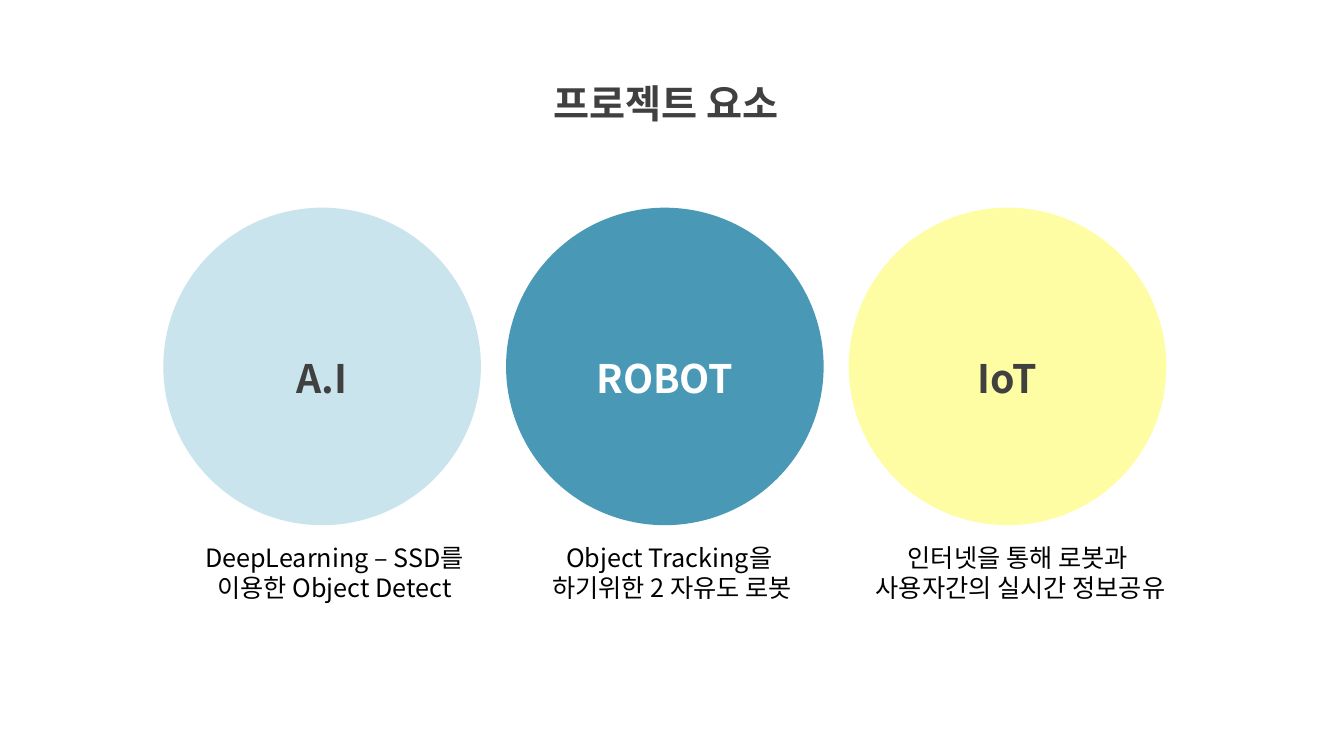
"""Build the project elements slide: three circles with captions."""
import dataclasses

import pptx
import pptx.dml.color
import pptx.enum.shapes
import pptx.enum.text
import pptx.oxml
import pptx.oxml.ns
import pptx.slide
import pptx.text.text
import pptx.util

RGBColor = pptx.dml.color.RGBColor
CHARCOAL = RGBColor(0x40, 0x40, 0x40)
BLACK = RGBColor(0x00, 0x00, 0x00)
WHITE = RGBColor(0xFF, 0xFF, 0xFF)
PALE_BLUE = RGBColor(0xC9, 0xE4, 0xED)
TEAL = RGBColor(0x49, 0x99, 0xB6)
YELLOW = RGBColor(0xFE, 0xFD, 0xA3)

FONT = "Noto Sans CJK KR"
SLIDE_WIDTH = pptx.util.Inches(13.33)
SLIDE_HEIGHT = pptx.util.Inches(7.5)
CIRCLE_LEFT, CIRCLE_PITCH, CIRCLE_TOP = 12.15, 25.5, 27.47
CIRCLE_WIDTH, CIRCLE_HEIGHT = 23.63, 42
CAPTION_LEFT, CAPTION_PITCH = 13.28, 24.91
CAPTION_TOP, CAPTION_HEIGHT = 71.07, 9.47


@dataclasses.dataclass(frozen=True)
class Box:
    """Position and size in percent of the slide."""
    left: float
    top: float
    width: float
    height: float

    def lengths(self) -> tuple[int, int, int, int]:
        """Return left, top, width and height in EMU."""
        return (round(SLIDE_WIDTH * self.left / 100), round(SLIDE_HEIGHT * self.top / 100),
                round(SLIDE_WIDTH * self.width / 100), round(SLIDE_HEIGHT * self.height / 100))


@dataclasses.dataclass(frozen=True)
class Style:
    """Look of a text."""
    size: int
    color: RGBColor
    bold: bool = False
    line_spacing: float = 1.0


@dataclasses.dataclass(frozen=True)
class Element:
    """One project element: its circle and its caption."""
    name: str
    fill: RGBColor
    color: RGBColor
    caption: tuple[str, ...]
    caption_width: float = CIRCLE_WIDTH


ELEMENTS = (
    Element("A.I", PALE_BLUE, CHARCOAL, ("DeepLearning – SSD를 ", "이용한 Object Detect ")),
    Element("ROBOT", TEAL, WHITE, ("Object Tracking을 ", "하기위한 2 자유도 로봇")),
    Element("IoT", YELLOW, CHARCOAL, ("인터넷을 통해 로봇과 ", "사용자간의 실시간 정보공유"), 25.66),
)


def write_lines(frame: pptx.text.text.TextFrame, lines: tuple[str, ...], style: Style) -> None:
    """Write centred lines, one paragraph each."""
    frame.word_wrap = True
    for index, line in enumerate(lines):
        paragraph = frame.add_paragraph() if index else frame.paragraphs[0]
        paragraph.alignment = pptx.enum.text.PP_ALIGN.CENTER
        paragraph.line_spacing = style.line_spacing
        run = paragraph.add_run()
        run.text = line
        run.font.size = pptx.util.Pt(style.size)
        run.font.bold = style.bold
        run.font.color.rgb = style.color
        run.font.name = FONT
        east_asian = pptx.oxml.parse_xml(
            f'<a:ea {pptx.oxml.ns.nsdecls("a")} typeface="{FONT}"/>')
        run.font._element.find(pptx.oxml.ns.qn("a:latin")).addnext(east_asian)


def add_text(slide: pptx.slide.Slide, box: Box, lines: tuple[str, ...], style: Style) -> None:
    """Add a text box that grows with its text."""
    frame = slide.shapes.add_textbox(*box.lengths()).text_frame
    write_lines(frame, lines, style)
    frame.auto_size = pptx.enum.text.MSO_AUTO_SIZE.SHAPE_TO_FIT_TEXT


def add_element(slide: pptx.slide.Slide, column: int, element: Element) -> None:
    """Add the circle and caption of one column."""
    circle_box = Box(CIRCLE_LEFT + column * CIRCLE_PITCH, CIRCLE_TOP,
                     CIRCLE_WIDTH, CIRCLE_HEIGHT)
    circle = slide.shapes.add_shape(pptx.enum.shapes.MSO_SHAPE.OVAL, *circle_box.lengths())
    circle.shadow.inherit = False
    circle.fill.solid()
    circle.fill.fore_color.rgb = element.fill
    circle.line.fill.background()
    circle.text_frame.vertical_anchor = pptx.enum.text.MSO_ANCHOR.MIDDLE
    write_lines(circle.text_frame, (element.name,), Style(28, element.color, True, 1.5))
    caption_box = Box(CAPTION_LEFT + column * CAPTION_PITCH, CAPTION_TOP,
                      element.caption_width, CAPTION_HEIGHT)
    add_text(slide, caption_box, element.caption, Style(18, BLACK))


def main() -> None:
    """Build and save the presentation."""
    presentation = pptx.Presentation()
    presentation.slide_width = SLIDE_WIDTH
    presentation.slide_height = SLIDE_HEIGHT
    slide = presentation.slides.add_slide(presentation.slide_layouts[6])
    add_text(slide, Box(32.18, 6.67, 34.73, 9.6), ("프로젝트 요소",),
             Style(28, CHARCOAL, True, 1.5))
    for column, element in enumerate(ELEMENTS):
        add_element(slide, column, element)
    presentation.save("out.pptx")


if __name__ == "__main__":
    main()
